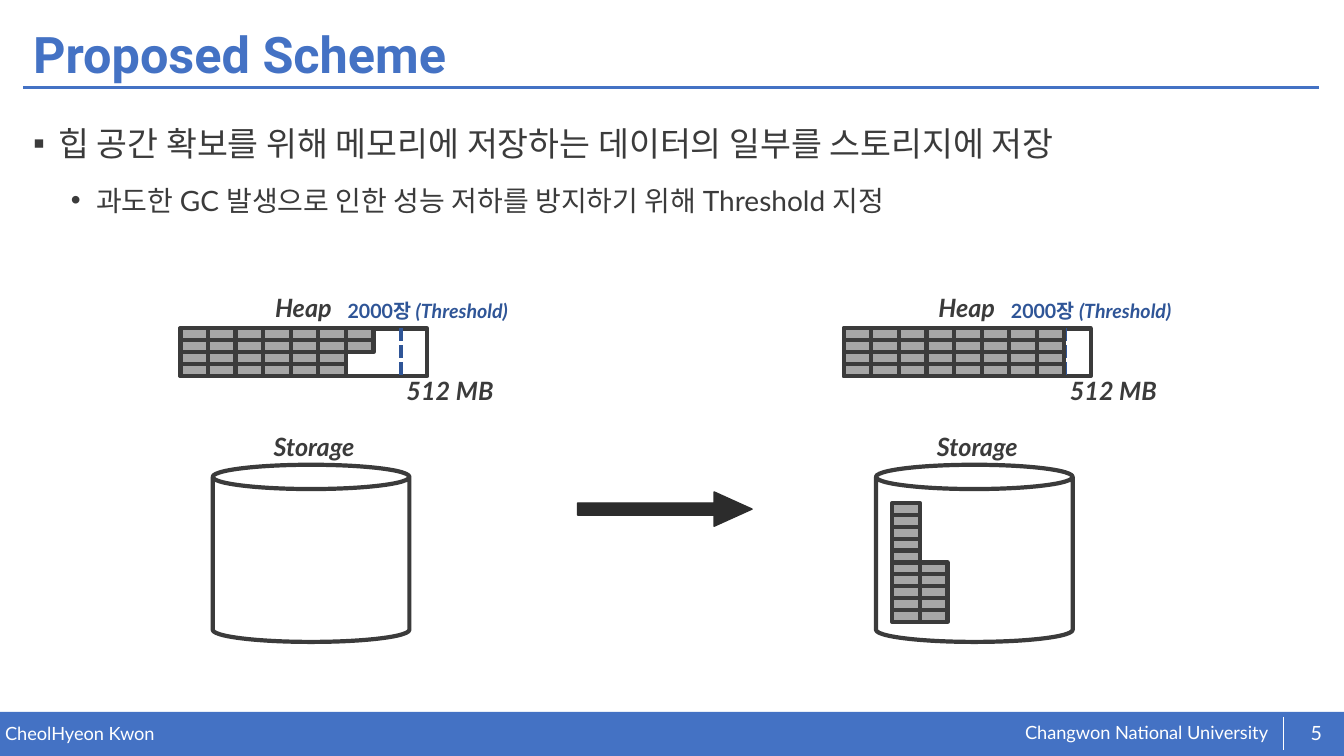
from lxml import etree
from pptx import Presentation
from pptx import util as u
from pptx.dml.color import RGBColor
from pptx.enum import dml, shapes, text
from pptx.oxml import ns

COLORS = {"blue": "4472C4", "navy": "2F5597", "ink": "3B3B3B",
          "block": "A6A6A6", "arrow": "2C2C2C", "white": "FFFFFF"}
SHAPE = shapes.MSO_SHAPE
CENTER = text.PP_ALIGN.CENTER
MIDDLE = text.MSO_ANCHOR.MIDDLE
BLOCK_W, BLOCK_H = 19.7, 8.5


def rgb(name):
    return RGBColor.from_string(COLORS[name])


class Deck:
    def __init__(self, width, height, font):
        self.prs = Presentation()
        self.prs.slide_width, self.prs.slide_height = u.Pt(width), u.Pt(height)
        self.s = self.prs.slides.add_slide(self.prs.slide_layouts[6])
        self.font = font

    def shape(self, kind, x, y, w, h, fill=None, line=None, weight=3, adj=()):
        sp = self.s.shapes.add_shape(kind, u.Pt(x), u.Pt(y), u.Pt(w), u.Pt(h))
        sp.shadow.inherit = False
        for i, value in enumerate(adj):
            sp.adjustments[i] = value
        if fill:
            sp.fill.solid()
            sp.fill.fore_color.rgb = rgb(fill)
        else:
            sp.fill.background()
        if line:
            sp.line.color.rgb = rgb(line)
            sp.line.width = u.Pt(weight)
        else:
            sp.line.fill.background()

    def line(self, x1, y1, x2, y2, color, weight, dash=None):
        c = self.s.shapes.add_connector(
            shapes.MSO_CONNECTOR.STRAIGHT, u.Pt(x1), u.Pt(y1), u.Pt(x2), u.Pt(y2))
        c.line.color.rgb = rgb(color)
        c.line.width = u.Pt(weight)
        if dash:
            c.line.dash_style = dash
        etree.SubElement(c._element.spPr, ns.qn("a:effectLst"))

    def box(self, x, y, w, h, inset=True, anchor=text.MSO_ANCHOR.TOP):
        tf = self.s.shapes.add_textbox(u.Pt(x), u.Pt(y), u.Pt(w), u.Pt(h)).text_frame
        tf.word_wrap = True
        tf.vertical_anchor = anchor
        if not inset:
            tf.margin_left = tf.margin_right = tf.margin_top = tf.margin_bottom = 0
        return tf

    def run(self, p, words, size, color, bold=False, italic=False, font=None):
        r = p.add_run()
        r.text = words
        f = r.font
        f.name, f.size, f.bold, f.italic = font or self.font, u.Pt(size), bold, italic
        f.color.rgb = rgb(color)

    def label(self, x, y, w, h, words, size=18, color="ink", bold=True,
              italic=True, align=None, **frame):
        p = self.box(x, y, w, h, **frame).paragraphs[0]
        p.alignment = align
        self.run(p, words, size, color, bold, italic)

    def bullet(self, p, words, size, mark, level, indent):
        p.level = level
        p.line_spacing = 1.4
        pPr = p._p.get_or_add_pPr()
        pPr.set("marL", str(u.Pt(indent)))
        pPr.set("indent", str(u.Pt(-18)))
        etree.SubElement(pPr, ns.qn("a:buFont"), typeface="Arial")
        etree.SubElement(pPr, ns.qn("a:buChar"), char=mark)
        self.run(p, words, size, "ink")

    def blocks(self, x, y, columns, step):
        for col, count in enumerate(columns):
            for row in range(count):
                self.shape(SHAPE.RECTANGLE, x + col * BLOCK_W, y + row * step,
                           BLOCK_W, BLOCK_H, "block", "ink")

    def memory(self, x, heap_columns, storage_columns):
        self.shape(SHAPE.CAN, x + 23, 332, 140.5, 126.5, line="ink", adj=[0.137])
        self.label(x + 25.2, 304.6, 140.4, 29, "Storage", align=CENTER)
        self.shape(SHAPE.RECTANGLE, x, 234.6, 176.4, 34, line="ink")
        self.label(x + 60.5, 205.3, 103, 29, "Heap")
        self.line(x + 157.7, 234.6, x + 157.7, 270, "navy", 3, dml.MSO_LINE.SQUARE_DOT)
        self.label(x + 154.4, 264.2, 103, 29, "512 MB")
        self.blocks(x, 234.6, heap_columns, BLOCK_H)
        self.blocks(x + 34.7, 435.8, storage_columns, -BLOCK_H)
        p = self.box(x + 112.3, 210.2, 182.9, 24.5).paragraphs[0]
        self.run(p, "2000장 ", 14, "navy", bold=True)
        self.run(p, "(Threshold)", 14, "navy", bold=True, italic=True)


def main():
    d = Deck(960, 540, "Lato")
    d.shape(SHAPE.RECTANGLE, 0, 508.4, 960, 31.6, "blue")
    footer = dict(color="white", bold=False, italic=False, inset=False)
    d.label(732.2, 515.5, 192, 16.5, "Changwon National University", 13, **footer)
    d.label(3.6, 516.2, 471.6, 16, "CheolHyeon Kwon", 13, **footer)
    d.line(16.6, 62.6, 942, 62.6, "blue", 2)
    d.line(916.6, 512, 916.6, 535.7, "white", 0.5)

    p = d.box(16.6, 13, 926, 55.4, anchor=MIDDLE).paragraphs[0]
    p.line_spacing = 0.9
    d.run(p, "Proposed Scheme", 36, "blue", bold=True, font="Roboto")

    tf = d.box(16.6, 72.7, 926, 405.4)
    d.bullet(tf.paragraphs[0], "힙 공간 확보를 위해 메모리에 저장하는 데이터의 일부를 스토리지에 저장",
             24, "▪", 0, 18)
    p = tf.add_paragraph()
    p.space_before = u.Pt(5)
    d.bullet(p, "과도한 GC 발생으로 인한 성능 저하를 방지하기 위해 Threshold 지정",
             20, "•", 1, 45)
    d.label(923, 509, 34.6, 28.8, "5", 14, align=CENTER, anchor=MIDDLE, **footer)

    d.memory(128.9, [4] * 6 + [2], [])
    d.memory(602.7, [4] * 8, [10, 5])
    d.shape(SHAPE.RIGHT_ARROW, 412.6, 351.4, 124.6, 24.5, "arrow", "arrow", 1,
            [0.356, 1.106])
    d.prs.save("out.pptx")


if __name__ == "__main__":
    main()
